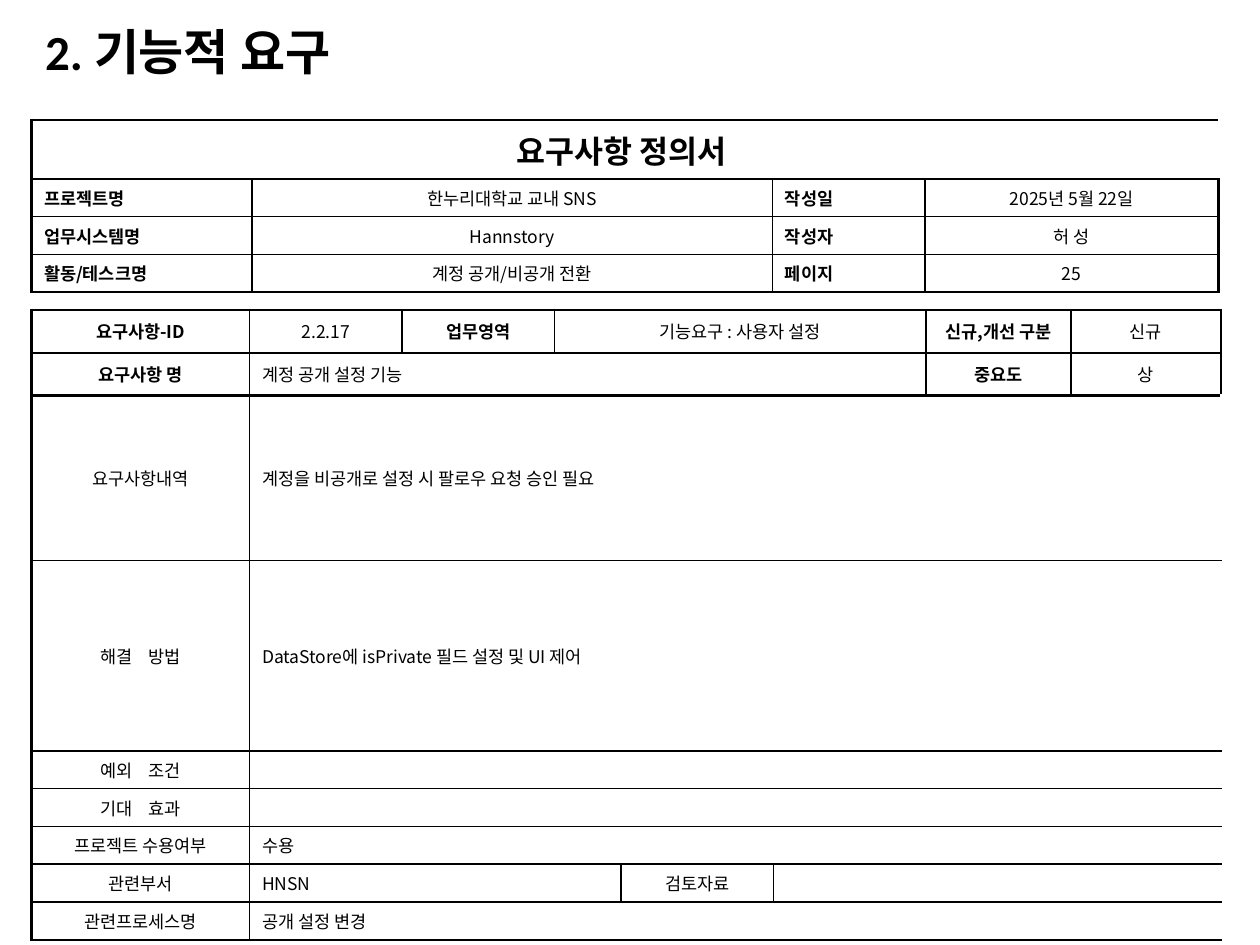
from lxml.etree import SubElement
from pptx import Presentation
from pptx.dml.color import RGBColor
from pptx.enum.text import MSO_ANCHOR, PP_ALIGN
from pptx.oxml.ns import qn
from pptx.util import Inches, Pt

BLACK = "000000"
FONT = "Noto Sans CJK KR"
THIN, THICK = 1, 1.5

# Cell kinds: alignment and weight
HEAD = {"align": PP_ALIGN.CENTER, "bold": True}
LABEL = {"align": PP_ALIGN.JUSTIFY, "bold": True}
MID = {"align": PP_ALIGN.CENTER}
LEFT = {"align": PP_ALIGN.LEFT}

# Each cell is (text, columns spanned, format)
DOCUMENT_ROWS = [
    [("요구사항 정의서 ", 4, {**HEAD, "size": 18})],
    [("프로젝트명", 1, LABEL), ("한누리대학교 교내 SNS", 1, MID),
     ("작성일", 1, LABEL), ("2025년 5월 22일", 1, MID)],
    [("업무시스템명 ", 1, LABEL), ("Hannstory", 1, MID),
     ("작성자", 1, LABEL), ("허 성", 1, MID)],
    [("활동/테스크명", 1, LABEL), ("계정 공개/비공개 전환", 1, MID),
     ("페이지", 1, LABEL), ("25", 1, MID)],
]
REQUIREMENT_ROWS = [
    [("요구사항-ID", 1, HEAD), ("2.2.17", 1, MID), ("업무영역", 1, HEAD),
     ("기능요구 : 사용자 설정", 3, MID), ("신규,개선 구분", 1, HEAD), ("신규", 1, MID)],
    [("요구사항 명", 1, HEAD), ("계정 공개 설정 기능", 5, LEFT),
     ("중요도", 1, HEAD), ("상", 1, MID)],
    [("요구사항내역", 1, MID),
     ("계정을 비공개로 설정 시 팔로우 요청 승인 필요", 7, {**LEFT, "font": "Calibri"})],
    [("해결    방법", 1, MID),
     ("DataStore에 isPrivate 필드 설정 및 UI 제어", 7, LEFT)],
    [("예외    조건", 1, MID), ("", 7, LEFT)],
    [("기대    효과", 1, MID), ("", 7, LEFT)],
    [("프로젝트 수용여부", 1, MID), ("수용", 7, LEFT)],
    [("관련부서", 1, MID), ("HNSN", 3, LEFT), ("검토자료", 1, MID), ("", 3, LEFT)],
    [("관련프로세스명", 1, MID), ("공개 설정 변경", 7, LEFT)],
]


def rgb(color):
    return RGBColor.from_string(color)


def write(tf, text, size=10, bold=False, align=PP_ALIGN.LEFT, font=FONT, color=BLACK):
    p = tf.paragraphs[0]
    p.alignment = align
    if not text:
        # Keeps an empty cell as low as a line of text
        SubElement(p._p, qn("a:endParaRPr"), sz=str(size * 100))
        return
    r = p.add_run()
    r.text = text
    r.font.size = Pt(size)
    r.font.bold = bold
    r.font.color.rgb = rgb(color)
    r.font.name = font
    SubElement(r.font._element, qn("a:ea"), typeface=FONT)


def set_borders(cell, widths, color=BLACK):
    """Draw the given sides, as a dict of L, R, T, B to points."""
    tcPr = cell._tc.get_or_add_tcPr()
    for side in "LRTB":
        if side in widths:
            ln = SubElement(tcPr, qn(f"a:ln{side}"), w=str(Pt(widths[side])))
            fill = SubElement(ln, qn("a:solidFill"))
            SubElement(fill, qn("a:srgbClr"), val=color)


def add_form(s, left, top, col_widths, row_heights, rows, anchor, heavy_rows):
    """Add a ruled form; heavy_rows are the row edges drawn thick."""
    last = len(col_widths)
    table = s.shapes.add_table(
        len(rows), last, Inches(left), Inches(top),
        Inches(sum(col_widths)), Inches(sum(row_heights))).table
    table.first_row = table.horz_banding = False
    for column, width in zip(table.columns, col_widths):
        column.width = Inches(width)
    for row, height in zip(table.rows, row_heights):
        row.height = Inches(height)

    for i, row in enumerate(rows):
        start = 0
        for text, span, style in row:
            end = start + span
            cell = table.cell(i, start)
            if span > 1:
                cell.merge(table.cell(i, end - 1))
            cell.vertical_anchor = anchor
            write(cell.text_frame, text, **style)
            for j in range(start, end):
                widths = {side: THICK if edge in heavy_rows else THIN
                          for side, edge in (("T", i), ("B", i + 1))}
                if j == start:
                    widths["L"] = THIN if j else THICK
                if j == end - 1:
                    widths["R"] = THICK if end == last else THIN
                set_borders(table.cell(i, j), widths)
                table.cell(i, j).fill.background()
            start = end


def add_title(s, text):
    tf = s.shapes.add_textbox(Inches(0.26), Inches(0.21), Inches(5.36), Inches(0.44)).text_frame
    tf.word_wrap = True
    tf.vertical_anchor = MSO_ANCHOR.MIDDLE
    tf.paragraphs[0].line_spacing = 0.9
    write(tf, text, size=28, bold=True, font="Calibri")


def main():
    prs = Presentation()
    prs.slide_width, prs.slide_height = Inches(10), Inches(7.5)
    s = prs.slides.add_slide(prs.slide_layouts[6])
    add_title(s, "2. 기능적 요구")
    add_form(s, 0.25, 2.46, [1.73, 1.21, 1.21, 0.53, 1.21, 1.21, 1.15, 1.19],
             [0.34, 0.34, 1.31, 1.51] + [0.3] * 5,
             REQUIREMENT_ROWS, MSO_ANCHOR.MIDDLE, heavy_rows={0, 1, 2, 9})
    add_form(s, 0.25, 0.95, [1.75, 4.13, 1.21, 2.33], [0.47] + [0.3] * 3,
             DOCUMENT_ROWS, MSO_ANCHOR.MIDDLE, heavy_rows={0, 4})
    prs.save("out.pptx")


if __name__ == "__main__":
    main()
